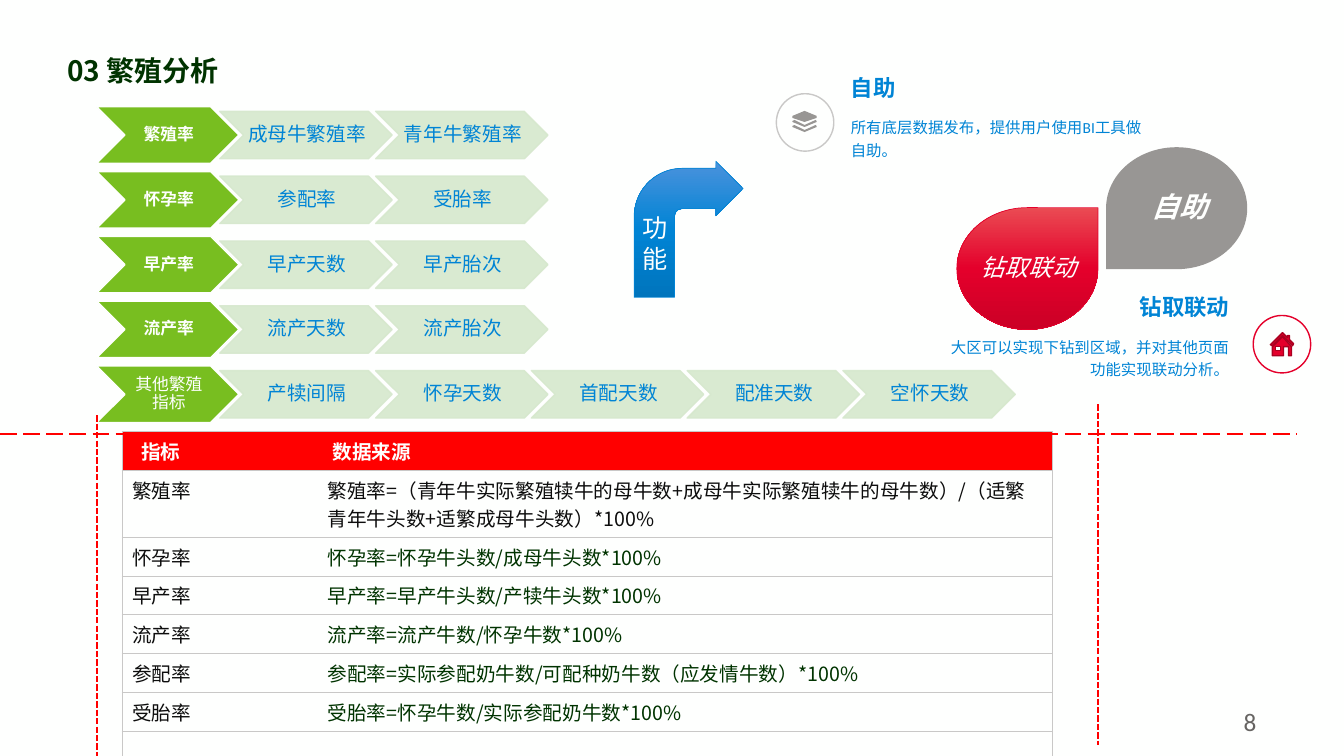
from dataclasses import dataclass
from typing import NamedTuple, Optional

from lxml.etree import SubElement
from pptx import Presentation
from pptx.dml.color import RGBColor
from pptx.enum.dml import MSO_LINE as Dash
from pptx.enum.shapes import MSO_CONNECTOR, MSO_SHAPE as Preset
from pptx.enum.text import MSO_ANCHOR as Anchor, PP_ALIGN as Align
from pptx.oxml.ns import qn
from pptx.util import Inches, Pt

# The slide is a grid of square cells, 133.3 columns by 75 rows
CELL = Inches(0.1)
COLUMNS, ROWS = 133.3, 75
PLAIN_TABLE = "{2D5ABB26-0587-4C30-8999-92F81FD0307C}"


def grid(*lengths: float) -> list[int]:
    return [round(length * CELL) for length in lengths]


@dataclass(frozen=True)
class Theme:
    cjk: str = "Noto Sans CJK SC"
    latin: str = "Calibri"
    white: str = "FEFFFE"
    forest: str = "003300"
    ink: str = "0D0D0D"
    green: str = "78BE20"
    mint: str = "D6E8CD"
    blue: str = "0084D5"
    red: str = "E4002B"
    dark_red: str = "A90020"
    signal: str = "FF0000"
    grey: str = "989694"
    rule: str = "C9C8C7"
    number: str = "666462"
    blue_fade: tuple = ("4B92DC", "0084D5", "0075BD")
    red_fade: tuple = ("EA4B53", "E4002B", "CB0026")
    title_size: int = 20
    large: int = 18
    drop_size: int = 17
    heading: int = 16
    body: int = 14
    label: int = 12
    note: int = 11


THEME = Theme()


class Box(NamedTuple):
    left: float
    top: float
    width: float
    height: float


class Style(NamedTuple):
    size: int
    color: str
    font: str = THEME.latin
    bold: bool = False
    italic: bool = False
    align: Align = Align.LEFT
    anchor: Anchor = Anchor.TOP
    spacing: Optional[float] = None


class Outline(NamedTuple):
    color: str
    width: float


class Label(NamedTuple):
    text: str
    box: Box
    style: Style


class Measure(NamedTuple):
    name: str
    links: tuple[str, ...]
    bold: bool = True


class Guide(NamedTuple):
    start: tuple[float, float]
    end: tuple[float, float]
    dash: Dash


def write(frame, text: str, style: Style) -> None:
    frame.word_wrap = True
    frame.vertical_anchor = style.anchor
    paragraph = frame.paragraphs[0]
    paragraph.alignment = style.align
    if style.spacing:
        paragraph.line_spacing = style.spacing
    run = paragraph.add_run()
    run.text = text
    font = run.font
    font.size, font.name = Pt(style.size), style.font
    font.bold, font.italic = style.bold, style.italic
    font.color.rgb = RGBColor.from_string(style.color)
    SubElement(font._element, qn("a:ea"), typeface=THEME.cjk)


def add_label(slide, label: Label) -> None:
    write(slide.shapes.add_textbox(*grid(*label.box)).text_frame, label.text, label.style)


def fade(shape, colors: tuple) -> None:
    shape.fill.gradient()
    shape.fill.gradient_angle = 270
    stops = shape._element.spPr.find(qn("a:gradFill")).find(qn("a:gsLst"))
    for stop in list(stops):
        stops.remove(stop)
    for place, color in enumerate(colors):
        stop = SubElement(stops, qn("a:gs"), pos=str(place * 50000))
        SubElement(stop, qn("a:srgbClr"), val=color)


def paint(shape, fill, outline: Optional[Outline] = None, opacity: int = 100) -> None:
    shape.shadow.inherit = False
    if isinstance(fill, tuple):
        fade(shape, fill)
    else:
        shape.fill.solid()
        shape.fill.fore_color.rgb = RGBColor.from_string(fill)
    if outline:
        shape.line.color.rgb = RGBColor.from_string(outline.color)
        shape.line.width = Pt(outline.width)
    else:
        shape.line.fill.background()
    if opacity < 100:
        for color in shape._element.spPr.iter(qn("a:srgbClr")):
            SubElement(color, qn("a:alpha"), val=str(opacity * 1000))


def add_preset(slide, preset: Preset, box: Box, fill, outline: Optional[Outline] = None, opacity: int = 100):
    shape = slide.shapes.add_shape(preset, *grid(*box))
    paint(shape, fill, outline, opacity)
    return shape


def add_chevron(slide, box: Box, fill: str, edge: str, opacity: int, text: str, style: Style) -> None:
    chevron = add_preset(slide, Preset.CHEVRON, box, fill, Outline(edge, 1), opacity)
    frame = chevron.text_frame
    frame.margin_left, frame.margin_right = Inches(0.02), 0
    frame.margin_top = frame.margin_bottom = Inches(0.01)
    write(frame, text, style)


def add_icon(slide, contours: list, fill: str, outline: Optional[Outline] = None) -> None:
    builder = None
    for contour in contours:
        first, *rest = [grid(*point) for point in contour]
        if builder is None:
            builder = slide.shapes.build_freeform(*first)
        else:
            builder.move_to(*first)
        builder.add_line_segments(rest, close=True)
    paint(builder.convert_to_shape(), fill, outline)


def add_guide(slide, guide: Guide) -> None:
    line = slide.shapes.add_connector(MSO_CONNECTOR.STRAIGHT, *grid(*guide.start, *guide.end))
    line.line.color.rgb = RGBColor.from_string(THEME.signal)
    line.line.width, line.line.dash_style = Pt(1.5), guide.dash
    SubElement(line._element.spPr, qn("a:effectLst"))


def add_borders(cell, sides: str) -> None:
    properties = cell._tc.get_or_add_tcPr()
    for side in sides:
        edge = SubElement(properties, qn(f"a:ln{side}"), w=str(Pt(0.5)))
        SubElement(SubElement(edge, qn("a:solidFill")), qn("a:srgbClr"), val=THEME.rule)


def add_sources(slide, rows: list[tuple[str, str]]) -> None:
    box = Box(12.1, 42.8, 92.3, 3 * len(rows))
    table = slide.shapes.add_table(len(rows), 2, *grid(*box)).table
    table.first_row = table.horz_banding = False
    table._tbl.tblPr.find(qn("a:tableStyleId")).text = PLAIN_TABLE
    for column, width in zip(table.columns, grid(19.4, 72.9)):
        column.width = width
    for r, texts in enumerate(rows):
        for c, text in enumerate(texts):
            cell = table.cell(r, c)
            add_borders(cell, ("L", "R")[c] + "TB")
            cell.fill.solid()
            cell.fill.fore_color.rgb = RGBColor.from_string(THEME.white if r else THEME.signal)
            if r == 0:
                cell.margin_left = Inches((0.19, 0.15)[c])
            if text:
                color = THEME.white if r == 0 else THEME.forest if c and r > 1 else THEME.ink
                write(cell.text_frame, text, Style(THEME.body, color, THEME.cjk, bold=r == 0))


# Content
MEASURES = [
    Measure("繁殖率", ("成母牛繁殖率", "青年牛繁殖率")),
    Measure("怀孕率", ("参配率", "受胎率")),
    Measure("早产率", ("早产天数", "早产胎次")),
    Measure("流产率", ("流产天数", "流产胎次")),
    Measure("其他繁殖指标", ("产犊间隔", "怀孕天数", "首配天数", "配准天数", "空怀天数"), bold=False),
]
SOURCES = [
    ("指标", "数据来源"),
    ("繁殖率", "繁殖率=（青年牛实际繁殖犊牛的母牛数+成母牛实际繁殖犊牛的母牛数）/（适繁青年牛头数+适繁成母牛头数）*100%"),
    ("怀孕率", "怀孕率=怀孕牛头数/成母牛头数*100%"),
    ("早产率", "早产率=早产牛头数/产犊牛头数*100%"),
    ("流产率", "流产率=流产牛数/怀孕牛数*100%"),
    ("参配率", "参配率=实际参配奶牛数/可配种奶牛数（应发情牛数）*100%"),
    ("受胎率", "受胎率=怀孕牛数/实际参配奶牛数*100%"),
    ("", ""),
]
HEADING = Style(THEME.heading, THEME.blue, bold=True, anchor=Anchor.MIDDLE)
NOTE = Style(THEME.note, THEME.blue, spacing=1.2)
DROP = Style(THEME.drop_size, THEME.white, italic=True, align=Align.CENTER, anchor=Anchor.MIDDLE)
LABELS = [
    Label("03 繁殖分析", Box(5.7, 5.2, 107.3, 5.4), Style(THEME.title_size, THEME.forest, THEME.cjk, True, spacing=0.9)),
    Label("8", Box(95.6, 69.6, 30, 4), Style(THEME.large, THEME.number, align=Align.RIGHT)),
    Label("功能", Box(62.7, 20.6, 4.3, 7.1), Style(THEME.large, THEME.white, THEME.cjk)),
    Label("自助", Box(111.4, 18.1, 11.1, 4.7), DROP._replace(size=THEME.title_size, bold=True)),
    Label("钻取联动", Box(96.2, 24.1, 11.6, 4.7), DROP),
    Label("钻取联动", Box(92.2, 28.2, 30.7, 4.4), HEADING._replace(align=Align.RIGHT)),
    Label("大区可以实现下钻到区域，并对其他页面功能实现联动分析。", Box(92.2, 32.7, 30.7, 5.7), NOTE._replace(align=Align.RIGHT)),
    Label("自助", Box(83.4, 6.5, 32.2, 4.3), HEADING),
    Label("所有底层数据发布，提供用户使用BI工具做自助。", Box(83.4, 10.9, 32.2, 5.7), NOTE),
]
GUIDES = [
    Guide((0, 43.1), (128.6, 43.1), Dash.LONG_DASH),
    Guide((9.6, 41.2), (9.6, 75), Dash.SQUARE_DOT),
    Guide((108.9, 40.1), (108.9, 73.9), Dash.SQUARE_DOT),
]
HOUSE = [
    [(126, 34.2), (127.2, 33), (127.7, 33.5), (127.7, 33.3), (127.9, 33.3), (127.9, 33.7),
     (128.3, 34.1), (128.2, 34.3), (127.2, 33.3), (126.2, 34.3)],
    [(127.2, 33.4), (128.1, 34.4), (128.1, 35.3), (127.8, 35.3), (127.8, 34.4), (127.3, 34.4),
     (127.3, 35.3), (126.2, 35.3), (126.2, 34.4)],
    [(127, 34.4), (126.5, 34.4), (126.5, 34.8), (127, 34.8)],
]
LAYERS = [[(78.6, 11.5), (79.8, 11), (81, 11.5), (81, 11.7), (79.8, 12.1), (78.6, 11.7)]] + [
    [(78.6, y), (78.8, y - 0.1), (79.8, y + 0.4), (80.9, y - 0.1), (81, y), (81, y + 0.1), (79.8, y + 0.6), (78.6, y + 0.1)]
    for y in (12, 12.5)
]


def main() -> None:
    deck = Presentation()
    deck.slide_width, deck.slide_height = grid(COLUMNS, ROWS)
    slide = deck.slides.add_slide(deck.slide_layouts[6])
    slide.background.fill.solid()
    slide.background.fill.fore_color.rgb = RGBColor.from_string(THEME.white)

    add_sources(slide, SOURCES)

    # Measures and the chevrons that follow them
    link_style = Style(THEME.body, THEME.blue, THEME.cjk, align=Align.CENTER, anchor=Anchor.MIDDLE, spacing=0.9)
    for row, measure in enumerate(MEASURES):
        top = 10.6 + 6.43 * row
        name_style = link_style._replace(size=THEME.label, color=THEME.white, bold=measure.bold)
        add_chevron(slide, Box(9.6, top, 14.1, 5.6), THEME.green, THEME.white, 100, measure.name, name_style)
        for column, link in enumerate(measure.links):
            box = Box(21.8 + 15.45 * column, top + 0.45, 17.1, 4.7)
            add_chevron(slide, box, THEME.mint, THEME.mint, 90, link, link_style)

    # Function arrow, drops and icons
    arrow = add_preset(slide, Preset.BENT_ARROW, Box(62.9, 16, 10.8, 13.5), THEME.blue_fade, Outline(THEME.blue, 0.5))
    for place, share in enumerate((0.37, 0.25, 0.25, 0.44)):
        arrow.adjustments[place] = share
    add_preset(slide, Preset.TEAR, Box(109.7, 14.6, 14, 12.1), THEME.grey).rotation = 180
    add_preset(slide, Preset.TEAR, Box(94.9, 20.6, 14, 12.1), THEME.red_fade, Outline(THEME.red, 0.5))
    add_preset(slide, Preset.OVAL, Box(124.3, 31.3, 5.7, 5.7), THEME.white, Outline(THEME.red, 1))
    add_icon(slide, HOUSE, THEME.red, Outline(THEME.dark_red, 1))
    add_preset(slide, Preset.OVAL, Box(77, 9.3, 5.7, 5.7), THEME.white, Outline(THEME.rule, 1))
    add_icon(slide, LAYERS, THEME.grey)

    for label in LABELS:
        add_label(slide, label)
    for guide in GUIDES:
        add_guide(slide, guide)
    deck.save("out.pptx")


if __name__ == "__main__":
    main()
